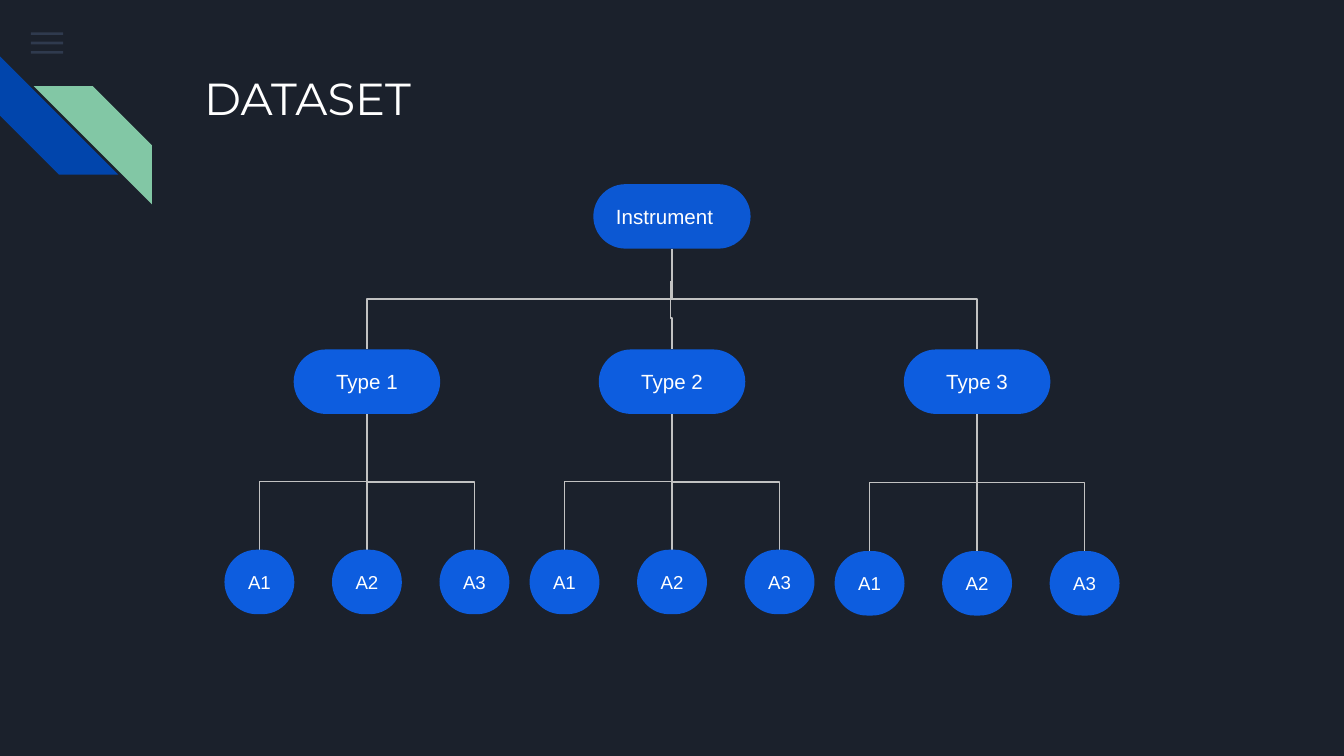
from dataclasses import dataclass

import pptx
import pptx.dml.color
import pptx.enum.shapes
import pptx.enum.text
import pptx.oxml.ns
import pptx.util
from lxml import etree
from pptx.util import Inches

Kind = pptx.enum.shapes.MSO_SHAPE
Link = pptx.enum.shapes.MSO_CONNECTOR
Align = pptx.enum.text.PP_ALIGN
Anchor = pptx.enum.text.MSO_ANCHOR
qn = pptx.oxml.ns.qn


@dataclass(frozen=True)
class Theme:
    back: str = "1B212C"
    bar: str = "55688B"
    navy: str = "0145AC"
    mint: str = "82C7A5"
    root: str = "0C58D3"
    node: str = "0D5DDF"
    line: str = "C2C2C2"
    text: str = "FFFFFF"
    head: str = "Montserrat"
    body: str = "Arial"
    title: float = 24
    label: float = 11
    leaf: float = 10
    rule: float = 0.75


@dataclass(frozen=True)
class Node:
    label: str
    mid: float
    top: float
    width: float
    fill: str
    size: float
    align: Align = Align.CENTER
    height: float = 0.48

    @property
    def base(self) -> float:
        return self.top + self.height


THEME = Theme()


def color(code: str) -> pptx.dml.color.RGBColor:
    return pptx.dml.color.RGBColor.from_string(code)


def shape(slide, kind, left: float, top: float, width: float, height: float,
          fill: str, turn: float = 0):
    item = slide.shapes.add_shape(
        kind, Inches(left), Inches(top), Inches(width), Inches(height))
    item.shadow.inherit = False
    item.fill.solid()
    item.fill.fore_color.rgb = color(fill)
    item.line.fill.background()
    item.rotation = turn
    return item


def write(item, text: str, face: str, size: float, align: Align, anchor: Anchor) -> None:
    frame = item.text_frame
    frame.word_wrap = True
    frame.vertical_anchor = anchor
    frame.margin_left = frame.margin_right = Inches(0.1)
    frame.margin_top = frame.margin_bottom = Inches(0.1)
    para = frame.paragraphs[0]
    para.alignment = align
    run = para.add_run()
    run.text = text
    run.font.name = face
    run.font.size = pptx.util.Pt(size)
    run.font.color.rgb = color(THEME.text)


def draw(slide, node: Node) -> None:
    item = shape(slide, Kind.ROUNDED_RECTANGLE, node.mid - node.width / 2,
                 node.top, node.width, node.height, node.fill)
    item.adjustments[0] = 0.5
    write(item, node.label, THEME.body, node.size, node.align, Anchor.MIDDLE)


def elbow(slide, x1: float, y1: float, x2: float, y2: float, bend: float = 0.5) -> None:
    """Go down, across and down: an elbow turned by a quarter about its centre."""
    mid, half = (x1 + x2) / 2, (y1 + y2) / 2
    run, drop = (x2 - x1) / 2, (y2 - y1) / 2
    line = slide.shapes.add_connector(
        Link.ELBOW, Inches(mid - drop), Inches(half + run),
        Inches(mid + drop), Inches(half - run))
    line.line.color.rgb = color(THEME.line)
    line.line.width = pptx.util.Pt(THEME.rule)
    props = line._element.spPr
    props.find(qn("a:xfrm")).set("rot", str(90 * 60000))
    guide = etree.SubElement(props.find(".//" + qn("a:avLst")), qn("a:gd"))
    guide.set("name", "adj1")
    guide.set("fmla", f"val {round(bend * 100000)}")
    etree.SubElement(props, qn("a:effectLst"))


def decor(slide) -> None:
    # Menu bars
    for row in range(3):
        bar = shape(slide, Kind.RECTANGLE, 0.23, 0.24 + 0.07 * row, 0.24, 0.02, THEME.bar)
        tint = bar._element.spPr.find(".//" + qn("a:srgbClr"))
        etree.SubElement(tint, qn("a:alpha")).set("val", "36000")
    # Corner stripes
    for left, top, fill, turn in ((0, 0.42, THEME.navy, 270), (0.25, 0.64, THEME.mint, 90)):
        shape(slide, Kind.DIAGONAL_STRIPE, left, top, 0.88, 0.88, fill, turn)


def tree(slide) -> None:
    root = Node("Instrument", 5, 1.37, 1.17, THEME.root, THEME.label, Align.LEFT)
    nodes = [root]
    for col, low in enumerate((4.09, 4.09, 4.1)):
        kind = Node(f"Type {col + 1}", root.mid + 2.27 * (col - 1), 2.6, 1.09,
                    THEME.node, THEME.label)
        nodes.append(kind)
        # The middle branch starts lower and steps slightly sideways
        if col == 1:
            elbow(slide, 4.99, 2.09, kind.mid, kind.top, 0.54)
        else:
            elbow(slide, root.mid, root.base, kind.mid, kind.top)
        for pos in range(3):
            leaf = Node(f"A{pos + 1}", kind.mid + 0.8 * (pos - 1), low, 0.52,
                        THEME.node, THEME.leaf)
            nodes.append(leaf)
            elbow(slide, kind.mid, kind.base, leaf.mid, leaf.top)
    for node in nodes:
        draw(slide, node)


def main() -> None:
    deck = pptx.Presentation()
    # Widescreen, 16 to 9
    deck.slide_width = Inches(10)
    deck.slide_height = Inches(10 * 9 / 16)
    slide = deck.slides.add_slide(deck.slide_layouts[6])
    slide.background.fill.solid()
    slide.background.fill.fore_color.rgb = color(THEME.back)
    decor(slide)
    # Title
    title = slide.shapes.add_textbox(Inches(1.42), Inches(0.43), Inches(2.01), Inches(1))
    write(title, "DATASET", THEME.head, THEME.title, Align.LEFT, Anchor.TOP)
    # Hierarchy
    tree(slide)
    deck.save("out.pptx")


if __name__ == "__main__":
    main()
